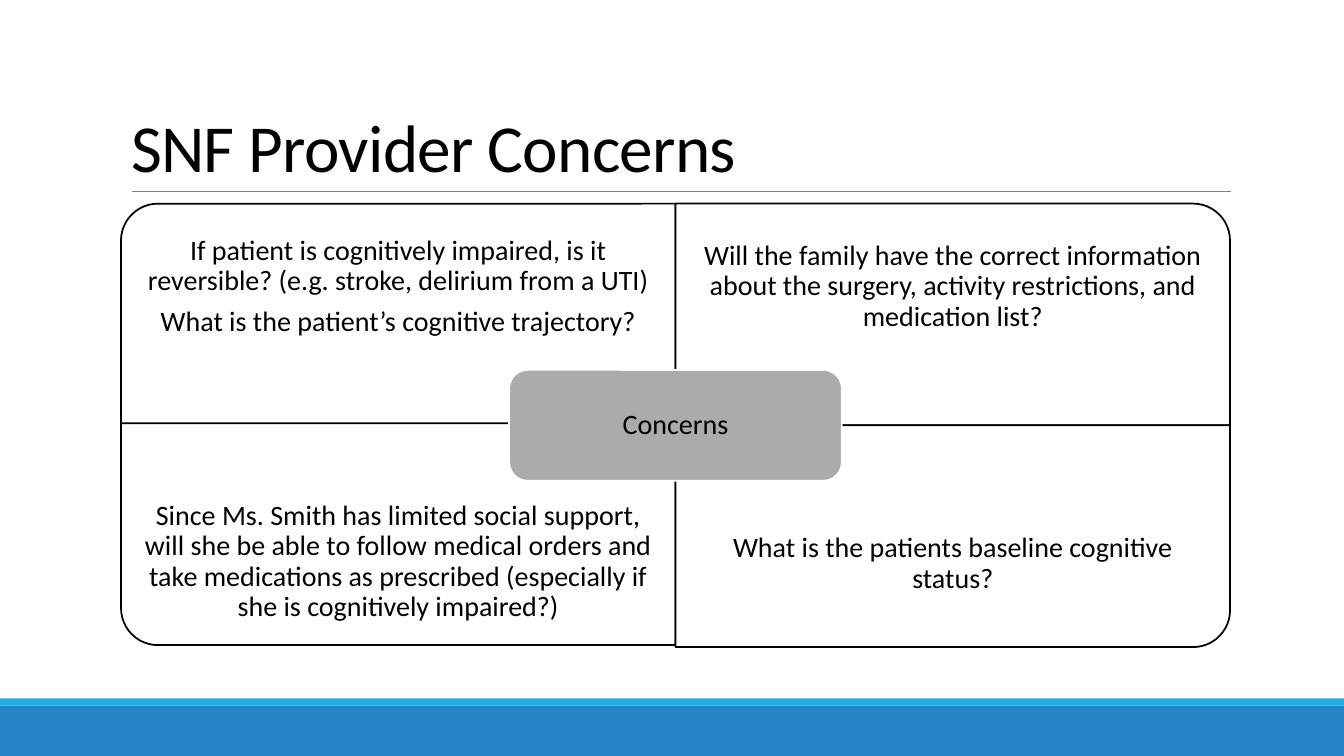
from dataclasses import dataclass

from lxml.etree import SubElement
from pptx import Presentation
from pptx.dml.color import RGBColor
from pptx.enum.shapes import MSO_CONNECTOR, MSO_SHAPE
from pptx.enum.text import MSO_ANCHOR, PP_ALIGN
from pptx.oxml.ns import qn
from pptx.shapes.autoshape import Shape
from pptx.slide import Slide
from pptx.text.text import TextFrame
from pptx.util import Inches, Pt

BLACK = RGBColor(0x00, 0x00, 0x00)
WHITE = RGBColor(0xFF, 0xFF, 0xFF)
GRAY = RGBColor(0x80, 0x80, 0x80)
LABEL_GRAY = RGBColor(0xAB, 0xAB, 0xAB)
BLUE = RGBColor(0x26, 0x83, 0xC6)
CYAN = RGBColor(0x1C, 0xAD, 0xE4)

FONT = "Calibri"
SLIDE_W, SLIDE_H = 13.33, 7.5
LEFT, TOP = 1.2, 2.02
QUADRANT_W, QUADRANT_H = 5.5, 2.2
TEXT_H = 1.65
LABEL_W, LABEL_H = 3.3, 1.1


@dataclass(frozen=True)
class Concern:
    column: int
    top: float
    rotation: int
    text: str

    @property
    def left(self) -> float:
        return LEFT + self.column * QUADRANT_W

    @property
    def text_top(self) -> float:
        """Text keeps to the outer part, clear of the central label."""
        return self.top if self.top == TOP else self.top + QUADRANT_H - TEXT_H


CONCERNS = [
    Concern(0, TOP, 270,
            "If patient is cognitively impaired, is it reversible? "
            "(e.g. stroke, delirium from a UTI)\n"
            "What is the patient’s cognitive trajectory?"),
    Concern(1, TOP, 0,
            "Will the family have the correct information about the surgery, "
            "activity restrictions, and medication list?"),
    Concern(0, 4.2, 180,
            "Since Ms. Smith has limited social support, will she be able to "
            "follow medical orders and take medications as prescribed "
            "(especially if she is cognitively impaired?)"),
    Concern(1, TOP + QUADRANT_H, 90,
            "What is the patients baseline cognitive status?"),
]


def add_block(slide: Slide, kind: MSO_SHAPE, left: float, top: float, width: float,
              height: float, fill: RGBColor, line: RGBColor | None = None) -> Shape:
    block = slide.shapes.add_shape(
        kind, Inches(left), Inches(top), Inches(width), Inches(height))
    block.shadow.inherit = False
    block.fill.solid()
    block.fill.fore_color.rgb = fill
    if line is None:
        block.line.fill.background()
    else:
        block.line.color.rgb = line
        block.line.width = Pt(1.25)
    return block


def write_centered(frame: TextFrame, text: str, inset: float) -> None:
    frame.text = text
    frame.word_wrap = True
    frame.vertical_anchor = MSO_ANCHOR.MIDDLE
    frame.margin_left = frame.margin_right = Inches(inset)
    frame.margin_top = frame.margin_bottom = Inches(inset)
    for index, paragraph in enumerate(frame.paragraphs):
        paragraph.alignment = PP_ALIGN.CENTER
        paragraph.line_spacing = 0.9
        if index:
            paragraph.space_before = Pt(7)
        for run in paragraph.runs:
            run.font.name = FONT
            run.font.size = Pt(20)
            run.font.color.rgb = BLACK


def add_concern(slide: Slide, concern: Concern) -> None:
    # A quarter-turned shape is laid out upright around the same centre
    width, height = QUADRANT_W, QUADRANT_H
    if concern.rotation % 180:
        width, height = height, width
    left = concern.left + (QUADRANT_W - width) / 2
    top = concern.top + (QUADRANT_H - height) / 2
    quadrant = add_block(slide, MSO_SHAPE.ROUND_1_RECTANGLE,
                         left, top, width, height, WHITE, BLACK)
    quadrant.rotation = concern.rotation

    question = slide.shapes.add_textbox(
        Inches(concern.left), Inches(concern.text_top),
        Inches(QUADRANT_W), Inches(TEXT_H))
    write_centered(question.text_frame, concern.text, 0.16)


def add_title(slide: Slide, text: str) -> None:
    title = slide.shapes.title
    title.left, title.top = Inches(LEFT), Inches(0.31)
    title.width, title.height = Inches(11), Inches(1.59)
    title.text_frame.text = text
    title.text_frame.vertical_anchor = MSO_ANCHOR.BOTTOM
    heading = title.text_frame.paragraphs[0]
    heading.alignment = PP_ALIGN.LEFT
    heading.line_spacing = 0.85
    run = heading.runs[0]
    run.font.name = FONT
    run.font.size = Pt(48)
    run.font.color.rgb = BLACK
    run._r.get_or_add_rPr().set("spc", "-50")


def add_title_rule(slide: Slide) -> None:
    rule = slide.shapes.add_connector(
        MSO_CONNECTOR.STRAIGHT, Inches(1.31), Inches(1.9), Inches(12.21), Inches(1.9))
    rule.line.color.rgb = GRAY
    rule.line.width = Pt(0.5)
    SubElement(rule._element.spPr, qn("a:effectLst"))


def main() -> None:
    deck = Presentation()
    deck.slide_width, deck.slide_height = Inches(SLIDE_W), Inches(SLIDE_H)
    slide = deck.slides.add_slide(deck.slide_layouts[5])

    # Footer bands
    add_block(slide, MSO_SHAPE.RECTANGLE, 0, 7, SLIDE_W, 0.5, BLUE)
    add_block(slide, MSO_SHAPE.RECTANGLE, 0, 6.93, SLIDE_W, 0.07, CYAN)

    # Title with its rule
    add_title_rule(slide)
    add_title(slide, "SNF Provider Concerns")

    # Four concerns around the central label
    for concern in CONCERNS:
        add_concern(slide, concern)
    label = add_block(slide, MSO_SHAPE.ROUNDED_RECTANGLE,
                      LEFT + QUADRANT_W - LABEL_W / 2, TOP + QUADRANT_H - LABEL_H / 2,
                      LABEL_W, LABEL_H, LABEL_GRAY, WHITE)
    write_centered(label.text_frame, "Concerns", 0.13)

    deck.save("out.pptx")


if __name__ == "__main__":
    main()
